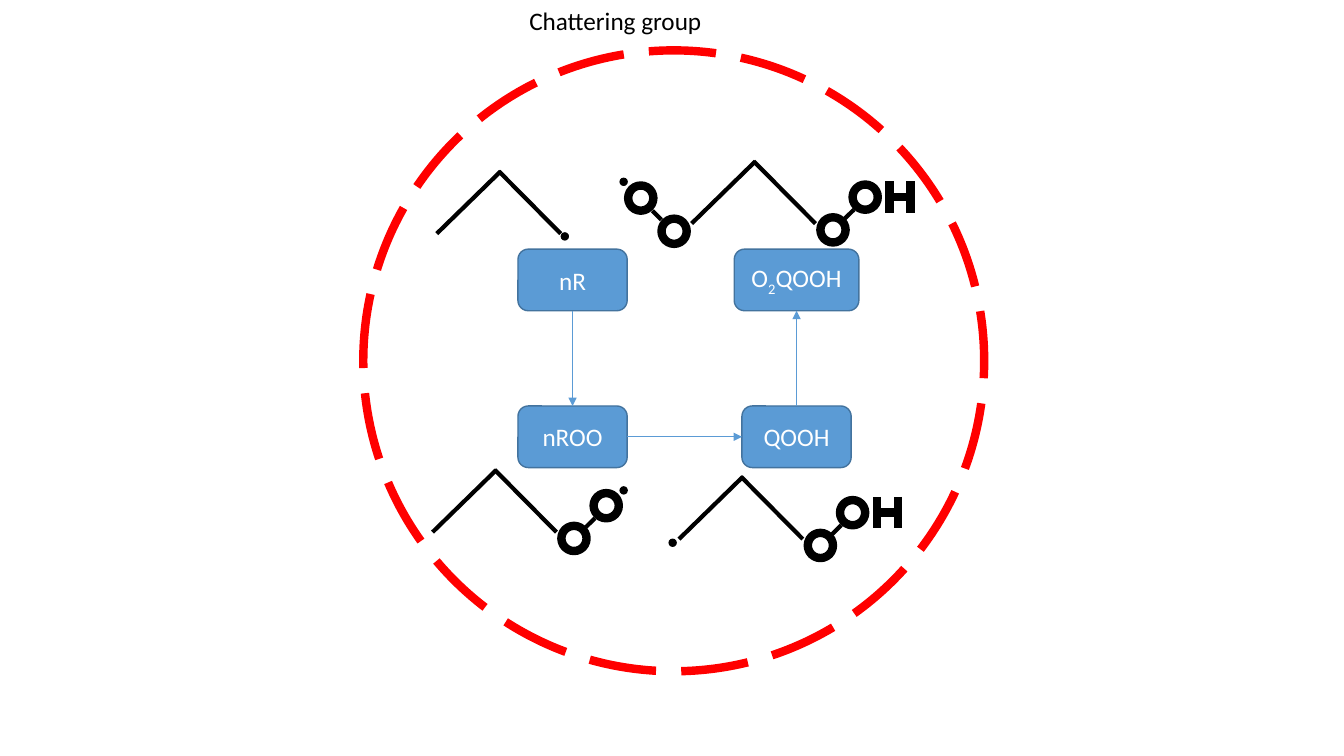
from dataclasses import dataclass
from typing import NamedTuple

from lxml.etree import SubElement
from pptx import Presentation
from pptx.dml.color import RGBColor
from pptx.enum.dml import MSO_LINE
from pptx.enum.shapes import MSO_CONNECTOR, MSO_SHAPE
from pptx.enum.text import MSO_ANCHOR, PP_ALIGN
from pptx.oxml.ns import qn
from pptx.util import Pt


@dataclass(frozen=True)
class Theme:
    font: str = "Calibri"
    size: float = 18
    black: RGBColor = RGBColor(0, 0, 0)
    white: RGBColor = RGBColor(255, 255, 255)
    red: RGBColor = RGBColor(255, 0, 0)
    blue: RGBColor = RGBColor(0x5B, 0x9B, 0xD5)
    border: RGBColor = RGBColor(0x43, 0x73, 0x9E)
    thin: float = 0.5
    outline: float = 1
    bond: float = 3
    heavy: float = 6


class Point(NamedTuple):
    x: float
    y: float


class Run(NamedTuple):
    text: str
    subscript: bool = False


class Species(NamedTuple):
    runs: list[Run]
    left: float
    top: float
    width: float = 78


class Molecule(NamedTuple):
    peak: Point
    dot: Point  # radical site, measured from the peak
    right_peroxy: bool = False
    hydrogen: bool = False
    left_peroxy: bool = False


T = Theme()
BOX_HEIGHT = 44
OXYGEN, DOT = 18, 5  # diameters
TOP, BOTTOM, LEFT, RIGHT = 0, 2, 1, 3  # connection sites

prs = Presentation()
prs.slide_width, prs.slide_height = Pt(960), Pt(540)
s = prs.slides.add_slide(prs.slide_layouts[6])


def add_shape(kind, left: float, top: float, width: float, height: float,
              fill: RGBColor, line: RGBColor, weight: float):
    sp = s.shapes.add_shape(kind, Pt(left), Pt(top), Pt(width), Pt(height))
    sp.shadow.inherit = False
    sp.fill.solid()
    sp.fill.fore_color.rgb = fill
    sp.line.color.rgb = line
    sp.line.width = Pt(weight)
    return sp


def add_line(x1: float, y1: float, x2: float, y2: float,
             color: RGBColor = T.black, weight: float = T.bond):
    c = s.shapes.add_connector(MSO_CONNECTOR.STRAIGHT, Pt(x1), Pt(y1), Pt(x2), Pt(y2))
    c.line.color.rgb = color
    c.line.width = Pt(weight)
    SubElement(c._element.spPr, qn("a:effectLst"))
    return c


def add_arrow(start, start_site: int, end, end_site: int) -> None:
    c = add_line(0, 0, 0, 0, T.blue, T.thin)
    c.begin_connect(start, start_site)
    c.end_connect(end, end_site)
    SubElement(c.line._get_or_add_ln(), qn("a:tailEnd"), type="triangle")


def write(p, runs: list[Run], color: RGBColor) -> None:
    p.font.name, p.font.size, p.font.color.rgb = T.font, Pt(T.size), color
    for run in runs:
        r = p.add_run()
        r.text = run.text
        if run.subscript:
            r._r.get_or_add_rPr().set("baseline", "-25000")


def add_species(item: Species):
    sp = add_shape(MSO_SHAPE.ROUNDED_RECTANGLE, item.left, item.top, item.width,
                   BOX_HEIGHT, T.blue, T.border, T.outline)
    tf = sp.text_frame
    tf.vertical_anchor = MSO_ANCHOR.MIDDLE
    p = tf.paragraphs[0]
    p.alignment = PP_ALIGN.CENTER
    write(p, item.runs, T.white)
    return sp


def add_molecule(m: Molecule) -> None:
    x, y = m.peak

    def bond(x1: float, y1: float, x2: float, y2: float, weight: float = T.bond) -> None:
        add_line(x + x1, y + y1, x + x2, y + y2, weight=weight)

    def oxygen(dx: float, dy: float) -> None:
        add_shape(MSO_SHAPE.OVAL, x + dx, y + dy, OXYGEN, OXYGEN,
                  T.white, T.black, T.heavy)

    # Carbon chain, with its two bonds overlapping at the peak
    bond(-45, 44.5, 0.6, 0)
    bond(43.5, 44.5, -0.6, 0)
    if m.right_peroxy:
        oxygen(47, 40)
        oxygen(70, 16.6)
        bond(64.4, 41, 71, 34.5)
    if m.hydrogen:
        for stem in (96.5, 111.5):
            bond(stem, 14.4, stem, 36.7, T.heavy)
        bond(96.5, 25.5, 111.5, 25.5, T.heavy)
    if m.left_peroxy:
        oxygen(-66.5, 41)
        oxygen(-90.3, 17.3)
        bond(-66.5, 41.8, -73, 35.3)
    add_shape(MSO_SHAPE.OVAL, x + m.dot.x, y + m.dot.y, DOT, DOT,
              T.black, T.black, T.outline)


# Title
tf = s.shapes.add_textbox(Pt(371), Pt(0), Pt(144), Pt(29)).text_frame
tf.word_wrap = True
write(tf.paragraphs[0], [Run("Chattering group")], T.black)

# Dashed ring
ring = add_shape(MSO_SHAPE.OVAL, 259.5, 36, 443.5, 443.5, T.white, T.red, T.heavy)
ring.line.dash_style = MSO_LINE.LONG_DASH

# Reaction path
path_boxes = [add_species(item) for item in (
    Species([Run("nR")], 370, 178),
    Species([Run("nROO")], 370, 290),
    Species([Run("QOOH")], 530, 290),
    Species([Run("O"), Run("2", True), Run("QOOH")], 524.5, 178, 89),
)]
nr, nroo, qooh, o2qooh = path_boxes
add_arrow(nr, BOTTOM, nroo, TOP)
add_arrow(nroo, RIGHT, qooh, LEFT)
add_arrow(qooh, TOP, o2qooh, BOTTOM)

# Skeletal formulas beside the boxes
for molecule in (
    Molecule(Point(357, 122.4), Point(44, 44)),
    Molecule(Point(354, 335.6), Point(89, 12.2), right_peroxy=True),
    Molecule(Point(530, 340.6), Point(-52, 44.6), right_peroxy=True, hydrogen=True),
    Molecule(Point(539, 115.2), Point(-96, 12.2), right_peroxy=True, hydrogen=True,
             left_peroxy=True),
):
    add_molecule(molecule)

prs.save("out.pptx")
